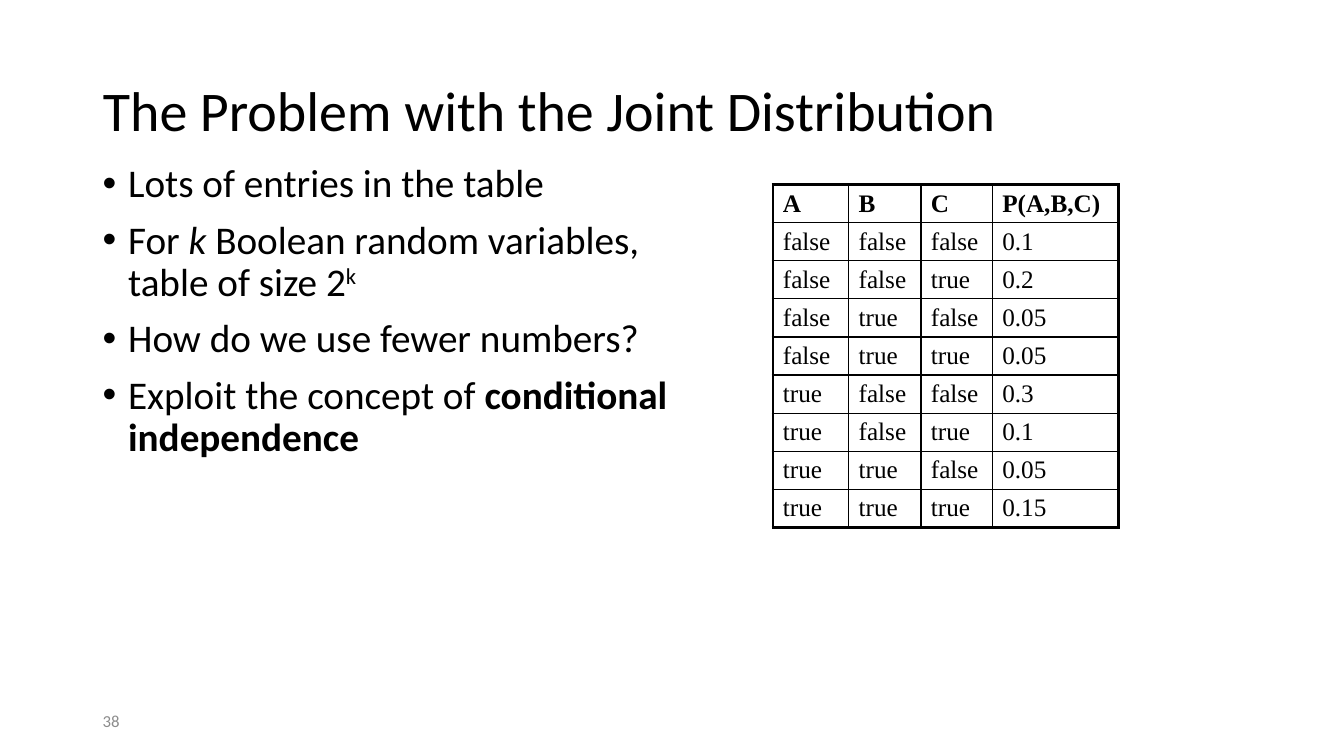
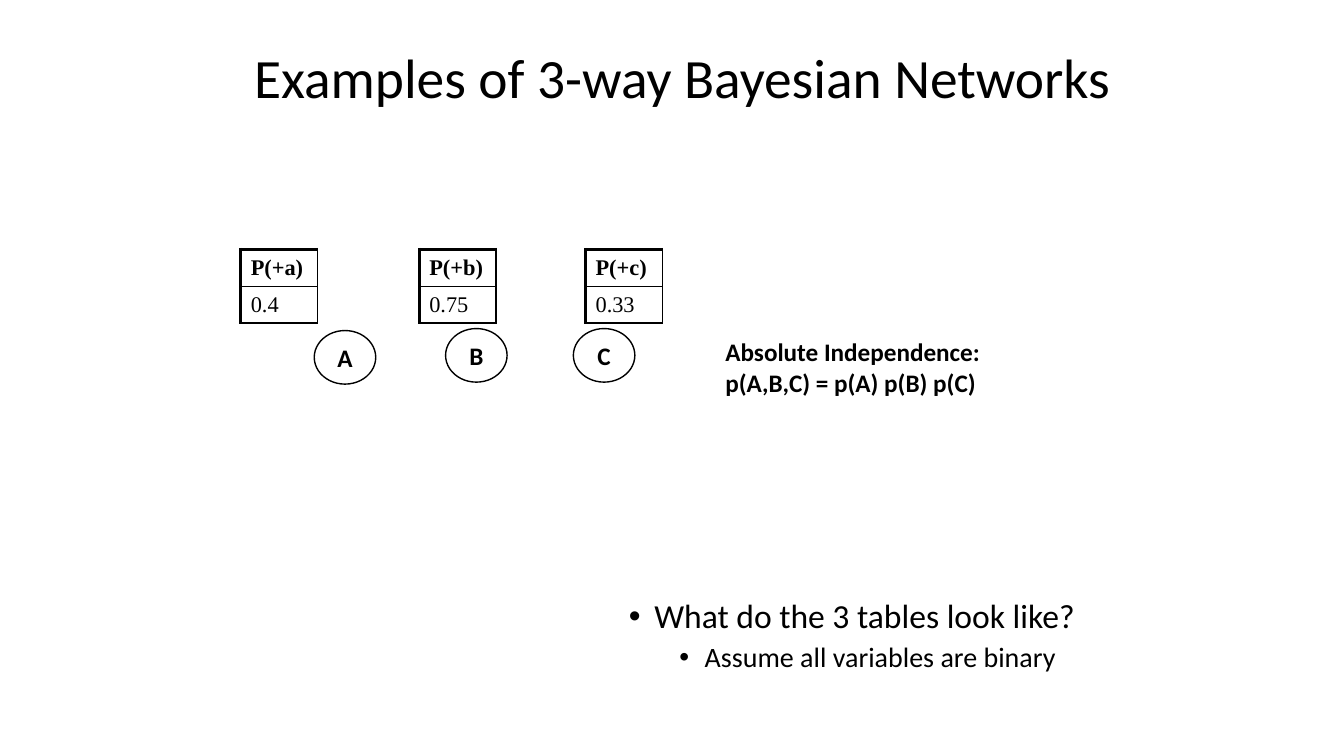
from dataclasses import dataclass
from typing import Any

import lxml.etree
import pptx
import pptx.dml.color
import pptx.enum.shapes
import pptx.enum.text
import pptx.oxml.ns
import pptx.util

Cm = pptx.util.Cm
Pt = pptx.util.Pt
MIDDLE = pptx.enum.text.MSO_ANCHOR.MIDDLE
LEFT = pptx.enum.text.PP_ALIGN.LEFT
CENTER = pptx.enum.text.PP_ALIGN.CENTER

BLACK = "000000"
GREY = "8C8C8C"
SANS = "Calibri"
SERIF = "Times New Roman"
THIN, THICK = 1, 2.25
FRAME = {"word_wrap": True, "auto_size": pptx.enum.text.MSO_AUTO_SIZE.NONE}


@dataclass(frozen=True)
class Area:
    """A rectangle in centimetres."""
    left: float
    top: float
    width: float
    height: float

    def lengths(self) -> tuple:
        return Cm(self.left), Cm(self.top), Cm(self.width), Cm(self.height)


@dataclass(frozen=True)
class Span:
    text: str
    bold: bool = False
    italic: bool = False
    raised: bool = False


@dataclass(frozen=True)
class Bullet:
    spans: tuple[Span, ...]
    size: float
    indent: float = 0.64
    before: float = 10


@dataclass(frozen=True)
class Grid:
    """A table; thick_sides names the outer edges drawn with a thick line."""
    left: float
    top: float
    columns: tuple[float, ...]
    row_height: float
    size: float
    rows: tuple[tuple[str, ...], ...]
    thick_sides: str
    margin: float


@dataclass(frozen=True)
class Variable:
    name: str
    probability: str
    table_left: float
    node_left: float
    node_top: float


JOINT_ROWS = (
    ("A", "B", "C", "P(A,B,C)"),
    ("false", "false", "false", "0.1"),
    ("false", "false", "true", "0.2"),
    ("false", "true", "false", "0.05"),
    ("false", "true", "true", "0.05"),
    ("true", "false", "false", "0.3"),
    ("true", "false", "true", "0.1"),
    ("true", "true", "false", "0.05"),
    ("true", "true", "true", "0.15"),
)
VARIABLES = (
    Variable("A", "0.4", 6.07, 7.92, 8.33),
    Variable("B", "0.75", 10.57, 11.23, 8.28),
    Variable("C", "0.33", 14.76, 14.45, 8.28),
)


def rgb(value: str) -> pptx.dml.color.RGBColor:
    return pptx.dml.color.RGBColor.from_string(value)


def apply_format(target: Any, values: dict[str, Any]) -> None:
    for name, value in values.items():
        setattr(target, name, value)


def add_span(para: Any, span: Span, size: float, face: str = SANS, color: str = BLACK) -> None:
    run = para.add_run()
    run.text = span.text
    apply_format(run.font, {"name": face, "size": Pt(size), "bold": span.bold, "italic": span.italic})
    run.font.color.rgb = rgb(color)
    if span.raised:
        run._r.get_or_add_rPr().set("baseline", "30000")


def add_box(slide: Any, area: Area) -> Any:
    frame = slide.shapes.add_textbox(*area.lengths()).text_frame
    apply_format(frame, FRAME)
    return frame


def add_title_slide(deck: Any, title: str, area: Area, size: float) -> Any:
    slide = deck.slides.add_slide(deck.slide_layouts[5])
    box = slide.shapes.title
    apply_format(box, dict(zip(("left", "top", "width", "height"), area.lengths())))
    apply_format(box.text_frame, FRAME | {"vertical_anchor": MIDDLE})
    para = box.text_frame.paragraphs[0]
    apply_format(para, {"alignment": LEFT, "line_spacing": 0.9})
    add_span(para, Span(title), size)
    return slide


def add_bullets(slide: Any, area: Area, bullets: tuple[Bullet, ...]) -> None:
    frame = add_box(slide, area)
    for index, bullet in enumerate(bullets):
        para = frame.add_paragraph() if index else frame.paragraphs[0]
        properties = para._p.get_or_add_pPr()
        properties.set("marL", str(Cm(bullet.indent)))
        properties.set("indent", str(-Cm(0.64)))
        for tag, name, value in (("a:buFont", "typeface", "Arial"), ("a:buChar", "char", "•")):
            lxml.etree.SubElement(properties, pptx.oxml.ns.qn(tag)).set(name, value)
        apply_format(para, {"line_spacing": 0.9, "space_before": Pt(bullet.before if index else 0)})
        for span in bullet.spans:
            add_span(para, span, bullet.size)


def set_borders(cell: Any, widths: dict[str, float]) -> None:
    properties = cell._tc.get_or_add_tcPr()
    for side in "LRTB":
        line = lxml.etree.SubElement(properties, pptx.oxml.ns.qn(f"a:ln{side}"))
        line.set("w", str(Pt(widths[side])))
        fill = lxml.etree.SubElement(line, pptx.oxml.ns.qn("a:solidFill"))
        lxml.etree.SubElement(fill, pptx.oxml.ns.qn("a:srgbClr")).set("val", BLACK)


def add_grid(slide: Any, grid: Grid) -> None:
    area = Area(grid.left, grid.top, sum(grid.columns), grid.row_height * len(grid.rows))
    table = slide.shapes.add_table(len(grid.rows), len(grid.columns), *area.lengths()).table
    apply_format(table, {"first_row": False, "horz_banding": False})
    for column, width in zip(table.columns, grid.columns):
        column.width = Cm(width)
    last_row, last_column = len(grid.rows) - 1, len(grid.columns) - 1
    for row_index, row in enumerate(grid.rows):
        table.rows[row_index].height = Cm(grid.row_height)
        for column_index, text in enumerate(row):
            cell = table.cell(row_index, column_index)
            outer = {"L": column_index == 0, "R": column_index == last_column,
                     "T": row_index == 0, "B": row_index == last_row}
            set_borders(cell, {side: THICK if edge and side in grid.thick_sides else THIN
                               for side, edge in outer.items()})
            cell.fill.background()
            apply_format(cell, {"margin_left": Cm(0.25), "margin_right": Cm(0.1),
                                "margin_top": Cm(grid.margin), "margin_bottom": Cm(grid.margin),
                                "vertical_anchor": MIDDLE})
            add_span(cell.text_frame.paragraphs[0], Span(text, bold=row_index == 0), grid.size, SERIF)


def add_node(slide: Any, variable: Variable) -> None:
    area = Area(variable.node_left, variable.node_top, 1.55, 1.35)
    node = slide.shapes.add_shape(pptx.enum.shapes.MSO_SHAPE.OVAL, *area.lengths())
    node.shadow.inherit = False
    node.fill.background()
    node.line.color.rgb = rgb(BLACK)
    node.line.width = Pt(THIN)
    margins = {f"margin_{side}": 0 for side in ("left", "right", "top", "bottom")}
    apply_format(node.text_frame, margins | {"word_wrap": False, "vertical_anchor": MIDDLE})
    para = node.text_frame.paragraphs[0]
    para.alignment = CENTER
    add_span(para, Span(variable.name, bold=True), 18)


def build_joint_distribution(deck: Any) -> None:
    slide = add_title_slide(deck, "The Problem with the Joint Distribution", Area(2.34, 1.02, 29.2, 3.68), 40)
    page_number = add_box(slide, Area(2.34, 17.65, 7.62, 1.02))
    page_number.vertical_anchor = MIDDLE
    add_span(page_number.paragraphs[0], Span("38"), 12, color=GREY)
    points = (
        (Span("Lots of entries in the table"),),
        (Span("For "), Span("k", italic=True), Span(" Boolean random variables, table of size 2"),
         Span("k", raised=True)),
        (Span("How do we use fewer numbers?"),),
        (Span("Exploit the concept of "), Span("conditional independence", bold=True)),
    )
    add_bullets(slide, Area(2.34, 4.01, 15.44, 12.9), tuple(Bullet(spans, 28) for spans in points))
    add_grid(slide, Grid(19.48, 4.65, (1.91, 1.82, 1.8, 3.17), 0.96, 18, JOINT_ROWS, "LTRB", 0.11))


def build_network_examples(deck: Any) -> None:
    slide = add_title_slide(deck, "Examples of 3-way Bayesian Networks", Area(6.15, 0.43, 23.29, 3.18), 39.6)
    for variable in VARIABLES:
        add_node(slide, variable)
        rows = ((f"P(+{variable.name.lower()})",), (variable.probability,))
        add_grid(slide, Grid(variable.table_left, 6.28, (1.93,), 0.93, 16, rows, "LT", 0.13))
    formula = add_box(slide, Area(18.03, 8.36, 8, 1.78))
    add_span(formula.paragraphs[0], Span("Absolute Independence:", bold=True), 18)
    add_span(formula.add_paragraph(), Span("p(A,B,C) = p(A) p(B) p(C)", bold=True), 18)
    add_bullets(slide, Area(15.6, 14.99, 16.28, 2.74), (
        Bullet((Span("What do the 3 tables look like?"),), 24),
        Bullet((Span("Assume all variables are binary"),), 20, indent=1.91, before=5),
    ))


def main() -> None:
    deck = pptx.Presentation()
    apply_format(deck, {"slide_width": Cm(33.87), "slide_height": Cm(19.05)})
    build_joint_distribution(deck)
    build_network_examples(deck)
    deck.save("out.pptx")


if __name__ == "__main__":
    main()
